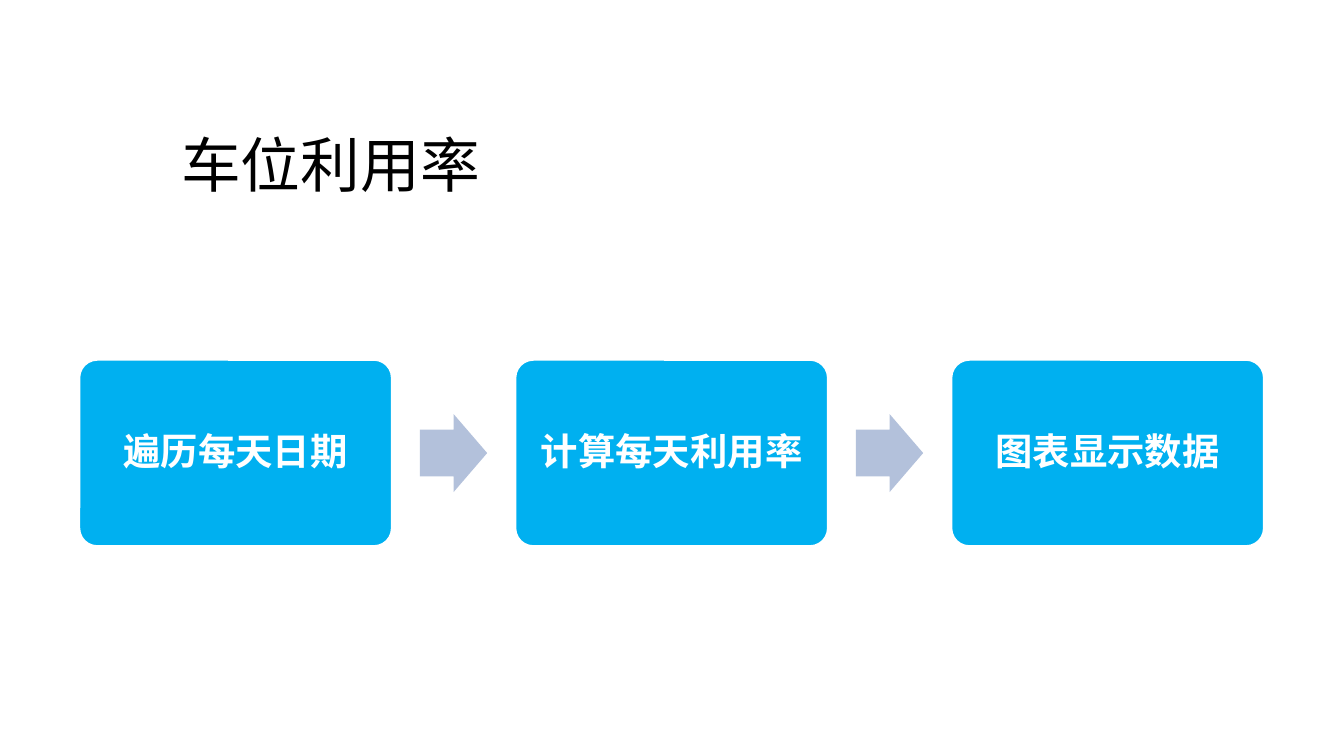
from pptx import Presentation
from pptx.dml.color import RGBColor
from pptx.enum import shapes, text
from pptx.util import Pt

TITLE = "车位利用率"
STEPS = ["遍历每天日期", "计算每天利用率", "图表显示数据"]

BLUE, PALE_BLUE, WHITE, BLACK = "00B0F0", "B3C1DB", "FFFFFF", "000000"
STEP_LEFT, STEP_TOP, STEP_WIDTH, STEP_HEIGHT = 42, 192.3, 168.4, 100.8
STEP_GAP = 65.2
ARROW_WIDTH, ARROW_HEIGHT = 36, 41.8


def color(value):
    return RGBColor.from_string(value)


def write(shape, content, *, size, font, ink, bold=False, inset=(7.2, 3.6),
          align=text.PP_ALIGN.LEFT, anchor=text.MSO_ANCHOR.TOP,
          line_spacing=1.0, space_after=0):
    frame = shape.text_frame
    frame.word_wrap = True
    frame.vertical_anchor = anchor
    frame.margin_left = frame.margin_right = Pt(inset[0])
    frame.margin_top = frame.margin_bottom = Pt(inset[1])
    paragraph = frame.paragraphs[0]
    paragraph.alignment = align
    paragraph.line_spacing = line_spacing
    paragraph.space_after = Pt(space_after)
    run = paragraph.add_run()
    run.text = content
    run.font.size = Pt(size)
    run.font.name = font
    run.font.bold = bold
    run.font.color.rgb = color(ink)


def add_block(slide, kind, box, fill, adjustments):
    """Add a filled preset shape without outline or shadow."""
    shape = slide.shapes.add_shape(kind, *map(Pt, box))
    shape.shadow.inherit = False
    shape.fill.solid()
    shape.fill.fore_color.rgb = color(fill)
    shape.line.fill.background()
    for index, value in enumerate(adjustments):
        shape.adjustments[index] = value
    return shape


def add_step(slide, left, label):
    step = add_block(slide, shapes.MSO_SHAPE.ROUNDED_RECTANGLE,
                     (left, STEP_TOP, STEP_WIDTH, STEP_HEIGHT), BLUE, [0.1])
    step.line.color.rgb = color(WHITE)
    step.line.width = Pt(2)
    write(step, label, size=20, font="Arial", ink=WHITE, bold=True,
          inset=(6, 6), align=text.PP_ALIGN.CENTER,
          anchor=text.MSO_ANCHOR.MIDDLE, line_spacing=0.9, space_after=7)


def add_arrow(slide, step_left):
    """Centre an arrow in the gap after the step at step_left."""
    left = step_left + STEP_WIDTH + (STEP_GAP - ARROW_WIDTH) / 2
    top = STEP_TOP + (STEP_HEIGHT - ARROW_HEIGHT) / 2
    add_block(slide, shapes.MSO_SHAPE.RIGHT_ARROW,
              (left, top, ARROW_WIDTH, ARROW_HEIGHT), PALE_BLUE, [0.6, 0.5])


def main():
    presentation = Presentation()
    presentation.slide_width, presentation.slide_height = Pt(720), Pt(405)
    slide = presentation.slides.add_slide(presentation.slide_layouts[6])

    title = slide.shapes.add_textbox(Pt(90), Pt(65), Pt(618.5), Pt(48))
    write(title, TITLE, size=32, font="Calibri", ink=BLACK)

    for index, label in enumerate(STEPS):
        left = STEP_LEFT + index * (STEP_WIDTH + STEP_GAP)
        add_step(slide, left, label)
        if index < len(STEPS) - 1:
            add_arrow(slide, left)

    presentation.save("out.pptx")


if __name__ == "__main__":
    main()
